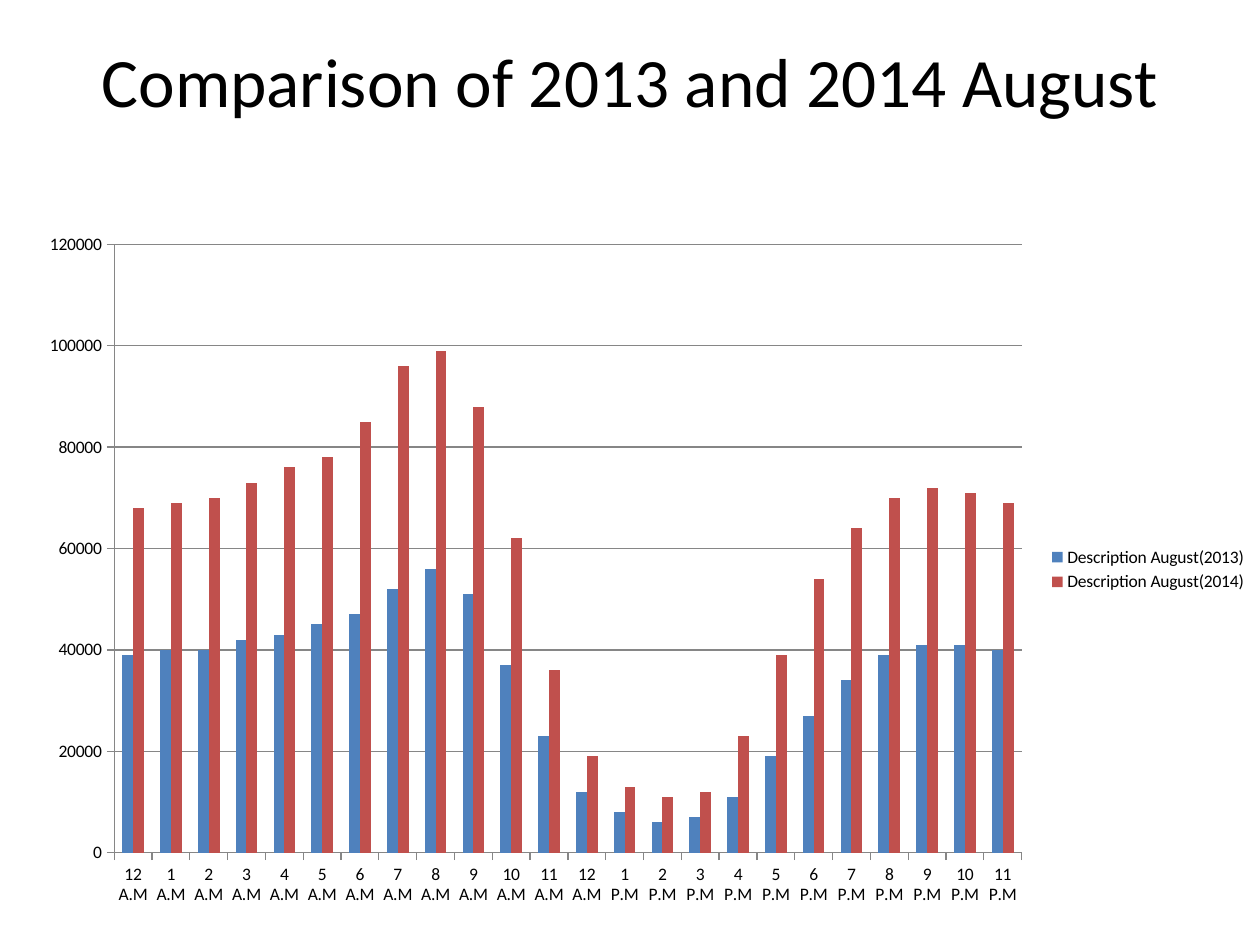
import pptx
import pptx.chart.data
import pptx.dml.color
import pptx.enum.chart
import pptx.enum.text
import pptx.util
from pptx.util import Inches, Pt

RGBColor = pptx.dml.color.RGBColor
BLACK = RGBColor(0x00, 0x00, 0x00)
AXIS_GREY = RGBColor(0x86, 0x86, 0x86)
BLUE = RGBColor(0x4F, 0x81, 0xBD)
RED = RGBColor(0xC0, 0x50, 0x4D)
FONT = "Calibri"

# Hourly values in thousands, from midnight to 11 at night
AUGUST = [
    ("Description August(2013)", BLUE,
     [39, 40, 40, 42, 43, 45, 47, 52, 56, 51, 37, 23,
      12, 8, 6, 7, 11, 19, 27, 34, 39, 41, 41, 40]),
    ("Description August(2014)", RED,
     [68, 69, 70, 73, 76, 78, 85, 96, 99, 88, 62, 36,
      19, 13, 11, 12, 23, 39, 54, 64, 70, 72, 71, 69]),
]


def hour_labels():
    # The noon column is labelled A.M on this slide
    return [f"{hour % 12 or 12} {'A.M' if hour <= 12 else 'P.M'}"
            for hour in range(24)]


def style_font(font, size):
    font.name = FONT
    font.size = Pt(size)
    font.color.rgb = BLACK


def set_title(slide, text):
    title = slide.shapes.title
    title.left, title.top = Inches(0.5), Inches(0.3)
    title.width, title.height = Inches(9), Inches(1.25)
    frame = title.text_frame
    frame.text = text
    frame.word_wrap = True
    frame.auto_size = pptx.enum.text.MSO_AUTO_SIZE.NONE
    frame.vertical_anchor = pptx.enum.text.MSO_ANCHOR.TOP
    frame.margin_top = 0
    heading = frame.paragraphs[0]
    heading.alignment = pptx.enum.text.PP_ALIGN.CENTER
    style_font(heading.runs[0].font, 39.6)


def style_axis(axis):
    axis.major_tick_mark = pptx.enum.chart.XL_TICK_MARK.OUTSIDE
    axis.minor_tick_mark = pptx.enum.chart.XL_TICK_MARK.NONE
    axis.format.line.color.rgb = AXIS_GREY
    axis.format.line.width = Pt(0.75)
    style_font(axis.tick_labels.font, 10)


def add_hourly_chart(slide):
    hourly = pptx.chart.data.CategoryChartData(number_format="General")
    hourly.categories = hour_labels()
    for name, _, thousands in AUGUST:
        hourly.add_series(name, [value * 1000 for value in thousands])
    chart = slide.shapes.add_chart(
        pptx.enum.chart.XL_CHART_TYPE.COLUMN_CLUSTERED,
        Inches(0.2), Inches(1.75), Inches(9.8), Inches(5.54), hourly).chart
    chart.has_title = False
    style_font(chart.font, 10)

    # Columns
    columns = chart.plots[0]
    columns.gap_width = 150
    columns.overlap = 0
    columns.vary_by_categories = False
    for series, (_, color, _) in zip(columns.series, AUGUST):
        series.format.fill.solid()
        series.format.fill.fore_color.rgb = color

    # Axes and gridlines
    style_axis(chart.category_axis)
    counts = chart.value_axis
    style_axis(counts)
    counts.minimum_scale = 0
    counts.maximum_scale = 120000
    counts.major_unit = 20000
    counts.has_major_gridlines = True
    counts.major_gridlines.format.line.color.rgb = AXIS_GREY
    counts.major_gridlines.format.line.width = Pt(0.75)

    # Legend
    chart.has_legend = True
    chart.legend.position = pptx.enum.chart.XL_LEGEND_POSITION.RIGHT
    chart.legend.include_in_layout = False
    style_font(chart.legend.font, 10)


def main():
    deck = pptx.Presentation()
    deck.slide_width, deck.slide_height = Inches(10), Inches(7.5)
    slide = deck.slides.add_slide(deck.slide_layouts[5])
    set_title(slide, "Comparison of 2013 and 2014 August")
    add_hourly_chart(slide)
    deck.save("out.pptx")


main()
